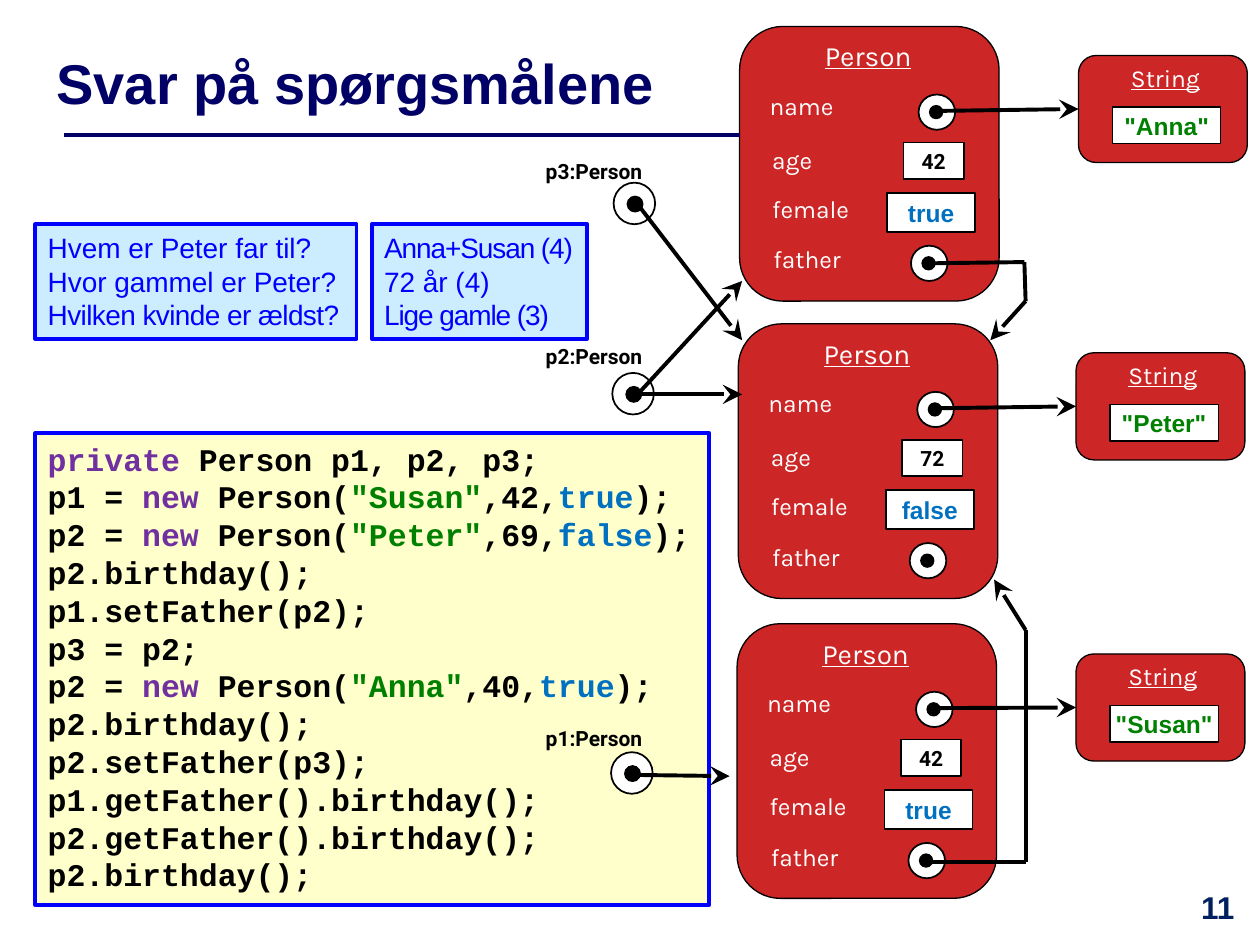
"""Build the slide of answers about Person objects, their fields and references."""
import pptx
import pptx.util
import pptx.dml.color
import pptx.enum.shapes
import pptx.enum.text
import pptx.oxml.ns
import lxml.etree

RGBColor = pptx.dml.color.RGBColor
NAVY = RGBColor(0x00, 0x00, 0x66)
NUMBER = RGBColor(0x00, 0x20, 0x60)
BLUE = RGBColor(0x00, 0x00, 0xFF)
ICE = RGBColor(0xCC, 0xEC, 0xFF)
CREAM = RGBColor(0xFF, 0xFF, 0xCC)
RED = RGBColor(0xCD, 0x26, 0x26)
GREEN = RGBColor(0x00, 0x80, 0x00)
PURPLE = RGBColor(0x70, 0x30, 0xA0)
AZURE = RGBColor(0x00, 0x70, 0xC0)
BLACK = RGBColor(0x00, 0x00, 0x00)
WHITE = RGBColor(0xFF, 0xFF, 0xFF)

PX = 9144
SHAPE = pptx.enum.shapes.MSO_SHAPE
STRAIGHT = pptx.enum.shapes.MSO_CONNECTOR.STRAIGHT
LEFT = pptx.enum.text.PP_ALIGN.LEFT
CENTER = pptx.enum.text.PP_ALIGN.CENTER
TOP = pptx.enum.text.MSO_ANCHOR.TOP
MIDDLE = pptx.enum.text.MSO_ANCHOR.MIDDLE

deck = pptx.Presentation()
deck.slide_width = 1000 * PX
deck.slide_height = 750 * PX
page = deck.slides.add_slide(deck.slide_layouts[6])


def add_box(kind, left, top, width, height, fill=None, line=BLACK, weight=1):
    place = [value * PX for value in (left, top, width, height)]
    if kind is None:
        return page.shapes.add_textbox(*place)
    box = page.shapes.add_shape(kind, *place)
    box.shadow.inherit = False
    box.fill.solid()
    box.fill.fore_color.rgb = fill
    box.line.color.rgb = line
    box.line.width = pptx.util.Pt(weight)
    return box


def write(box, lines, name, size, bold=False, align=LEFT, anchor=TOP, wrap=True, underline=False):
    frame = box.text_frame
    frame.word_wrap = wrap
    frame.vertical_anchor = anchor
    for index, spans in enumerate(lines):
        para = frame.paragraphs[0] if index == 0 else frame.add_paragraph()
        para.alignment = align
        for text, color, tracking in spans:
            span = para.add_run()
            span.text = text
            span.font.name = name
            span.font.size = pptx.util.Pt(size)
            span.font.bold = bold
            span.font.underline = underline
            span.font.color.rgb = color
            if tracking:
                span.font._element.set("spc", str(tracking))


code = [
    "private| Person p1, p2, p3;",
    'p1 = |new| Person(|"Susan"|,42,|true|);',
    'p2 = |new| Person(|"Peter"|,69,|false|);',
    "p2.birthday();",
    "p1.setFather(p2);",
    "p3 = p2;",
    'p2 = |new| Person(|"Anna"|,40,|true|);',
    "p2.birthday();",
    "p2.setFather(p3);",
    "p1.getFather().birthday();",
    "p2.getFather().birthday();",
    "p2.birthday();",
]
token_colors = {
    "private": PURPLE, "new": PURPLE, "true": AZURE, "false": AZURE,
    '"Susan"': GREEN, '"Peter"': GREEN, '"Anna"': GREEN,
}
code_lines = [[(token, token_colors.get(token, BLACK), 0) for token in row.split("|")] for row in code]
code_box = add_box(SHAPE.RECTANGLE, 28, 344, 535, 374, CREAM, BLUE, 2.25)
write(code_box, code_lines, "Courier New", 18, bold=True)

title = add_box(None, 35, 28, 528, 75)
write(title, [[("Svar på spørgsmålene", NAVY, 0)]], "Arial", 32, bold=True, anchor=MIDDLE)
number = add_box(None, 933, 700, 67, 50)
write(number, [[("11", NUMBER, 0)]], "Arial", 18, bold=True, align=CENTER)

panels = [
    (28, 255, [("Hvem er Peter far til?", 0), ("Hvor gammel er Peter?", 0), ("Hvilken kvinde er ældst?", -30)]),
    (295, 171, [("Anna+Susan (4)", -60), ("72 år (4)", 0), ("Lige gamle (3)", -60)]),
]
for left, width, rows in panels:
    panel = add_box(SHAPE.RECTANGLE, left, 178, width, 91, ICE, BLUE, 2.25)
    write(panel, [[(text, BLUE, tracking)] for text, tracking in rows], "Arial", 16)

variables = [("p1:Person", 485, 597, 569), ("p2:Person", 486, 296, 266), ("p3:Person", 487, 145, 119)]
for text, left, top, label_top in variables:
    add_box(SHAPE.OVAL, left, top, 33, 33, WHITE)
    add_box(SHAPE.OVAL, left + 11, top + 11, 12, 12, BLACK)
    label = add_box(None, 406, label_top, 131, 34)
    write(label, [[(text, BLACK, 0)]], "Roboto", 12, bold=True, align=CENTER, anchor=MIDDLE, wrap=False)

persons = [
    (587, 21, '"Anna"', "42", "true", 856, 44),
    (586, 257, '"Peter"', "72", "false", 854, 280),
    (585, 495, '"Susan"', "42", "true", 854, 519),
]
fields = [("name", 14, 46, 106), ("age", 16, 89, 71), ("female", 16, 128, 113), ("father", 17, 168, 113)]
lines = []
for left, top, name, age, female, string_left, string_top in persons:
    add_box(SHAPE.ROUNDED_RECTANGLE, left, top, 206, 218, RED, BLACK, 0.75)
    heading = add_box(None, left + 53, top + 5, 98, 37)
    write(heading, [[("Person", WHITE, 0)]], "Karla", 16, align=CENTER, underline=True)
    for text, across, down, width in fields:
        label = add_box(None, left + across, top + down, width, 33)
        write(label, [[(text, WHITE, 0)]], "Karla", 14)
    age_box = add_box(SHAPE.RECTANGLE, left + 130, top + 92, 48, 29, WHITE)
    write(age_box, [[(age, BLACK, 0)]], "Roboto", 12, bold=True, align=CENTER, anchor=MIDDLE, wrap=False)
    female_box = add_box(SHAPE.RECTANGLE, left + 117, top + 132, 70, 31, WHITE)
    write(female_box, [[(female, AZURE, 0)]], "Arial", 14, bold=True, align=CENTER, anchor=MIDDLE, wrap=False)
    for across, down in ((142, 54), (136, 174)):
        add_box(SHAPE.OVAL, left + across, top + down, 29, 28, WHITE)
        add_box(SHAPE.OVAL, left + across + 9, top + down + 9, 10, 10, BLACK)

    string_card = add_box(SHAPE.ROUNDED_RECTANGLE, string_left, string_top, 134, 85, RED, BLACK, 0.75)
    heading = add_box(None, string_left + 21, string_top + 1, 96, 26)
    write(heading, [[("String", WHITE, 0)]], "Karla", 14, align=CENTER, underline=True)
    name_box = add_box(SHAPE.RECTANGLE, string_left + 27, string_top + 41, 86, 29, WHITE, BLACK, 0.75)
    write(name_box, [[(name, GREEN, 0)]], "Arial", 14, bold=True, align=CENTER, anchor=MIDDLE, wrap=False)
    lines.append(([(left + 160, top + 67), (string_left, string_top + 42)], string_card, BLACK, 2.25))

routes = [
    [(502, 615), (579, 616)],
    [(506, 162), (589, 270)],
    [(507, 312), (589, 223)],
    [(502, 313), (589, 313)],
    [(740, 684), (814, 684), (814, 500), (789, 460)],
    [(738, 209), (813, 208), (814, 239), (786, 270)],
]
lines += [(points, None, BLACK, 2.25) for points in routes]
lines.append(([(51, 107), (587, 107)], None, NAVY, 2))
for points, target, color, weight in lines:
    for start, end in zip(points, points[1:]):
        line = page.shapes.add_connector(STRAIGHT, *[value * PX for value in start + end])
        line.line.color.rgb = color
        line.line.width = pptx.util.Pt(weight)
        if target is not None:
            line.end_connect(target, 1)
        if end == points[-1] and color == BLACK:
            stroke = line.line._get_or_add_ln()
            lxml.etree.SubElement(stroke, pptx.oxml.ns.qn("a:tailEnd"), type="stealth", w="lg", len="lg")
        lxml.etree.SubElement(line._element.spPr, pptx.oxml.ns.qn("a:effectLst"))

deck.save("out.pptx")
